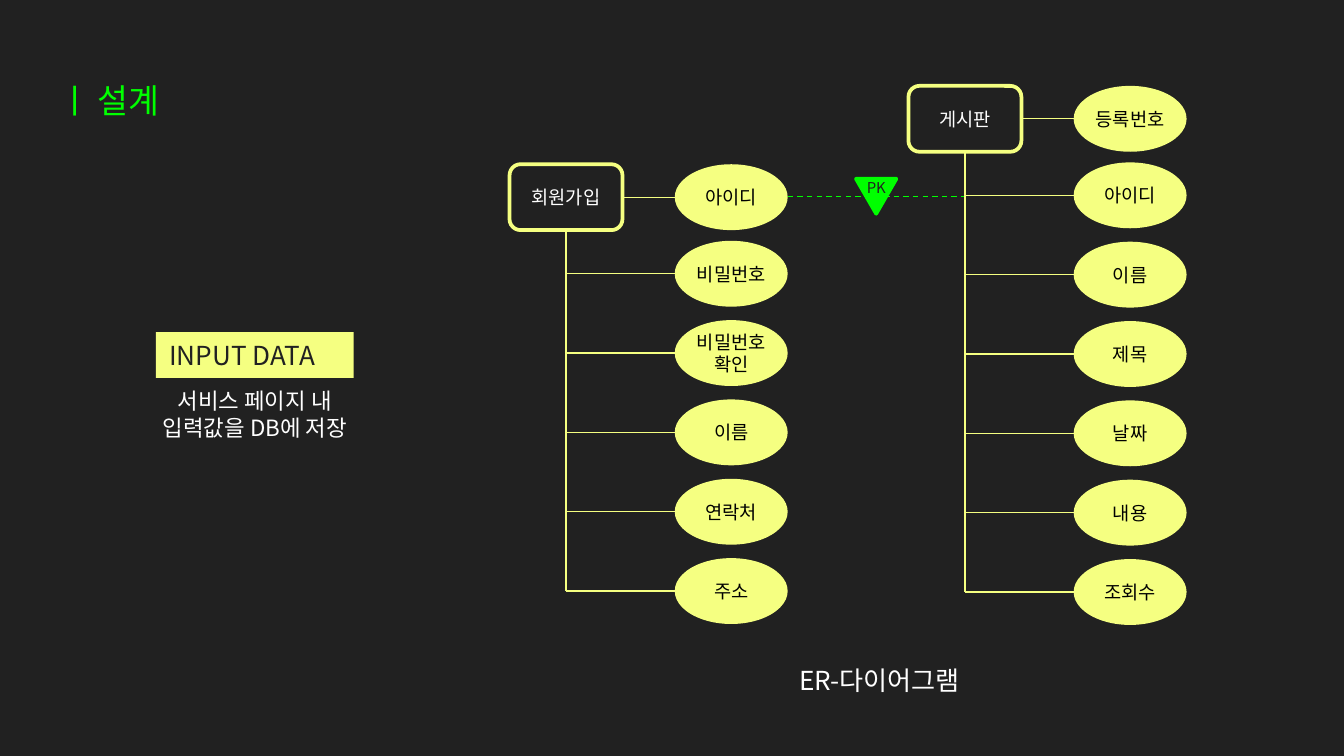
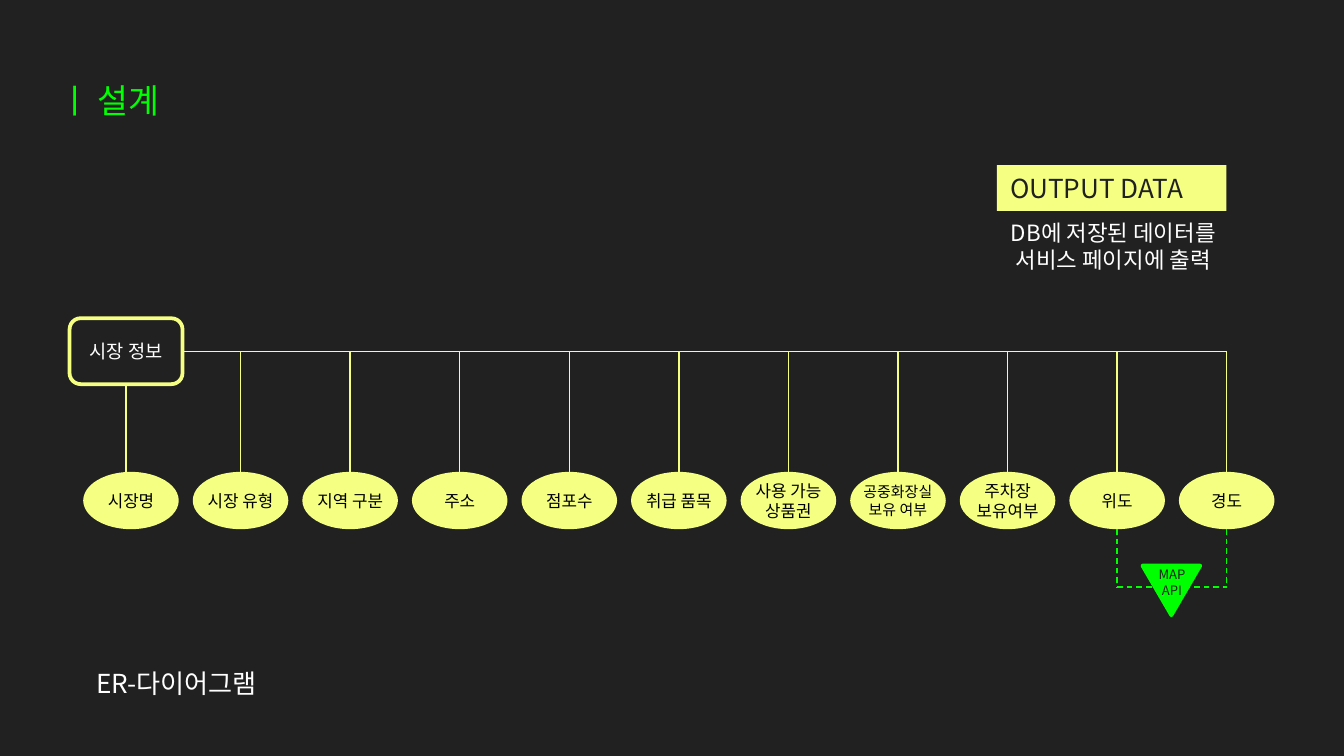
from lxml.etree import SubElement
from pptx import Presentation
from pptx.dml.color import RGBColor
from pptx.enum.dml import MSO_LINE
from pptx.enum.shapes import MSO_CONNECTOR, MSO_SHAPE as Kind
from pptx.enum.text import MSO_ANCHOR as Anchor, PP_ALIGN as Align
from pptx.oxml.ns import qn
from pptx.util import Pt

DARK = RGBColor(0x21, 0x21, 0x21)
LEMON = RGBColor(0xF5, 0xFF, 0x81)
GREEN = RGBColor(0x00, 0xFF, 0x00)
WHITE = RGBColor(0xFF, 0xFF, 0xFF)
BLACK = RGBColor(0x00, 0x00, 0x00)
FONT = "Noto Sans CJK KR"


def label(shape, text, size, color, align=Align.CENTER, anchor=Anchor.MIDDLE,
          pad=(0, 0), wrap=True):
    """Fill a shape with one paragraph per line; pad is (side, top)."""
    frame = shape.text_frame
    frame.word_wrap = wrap
    frame.vertical_anchor = anchor
    frame.margin_left = frame.margin_right = Pt(pad[0])
    frame.margin_top = frame.margin_bottom = Pt(pad[1])
    for i, line in enumerate(text.split("\n")):
        para = frame.add_paragraph() if i else frame.paragraphs[0]
        para.alignment = align
        run = para.add_run()
        run.text = line
        run.font.name = FONT
        run.font.size = Pt(size)
        run.font.color.rgb = color
        SubElement(run.font._element, qn("a:ea"), typeface=FONT)


def draw(slide, kind, box, fill=None, edge=None):
    """Add a preset shape, or a line from (x1, y1) to (x2, y2) if kind is None."""
    box = [Pt(v) for v in box]
    if kind is None:
        shape = slide.shapes.add_connector(MSO_CONNECTOR.STRAIGHT, *box)
        shape.line.color.rgb = edge
        shape.line.width = Pt(0.75)
        if edge == GREEN:
            shape.line.dash_style = MSO_LINE.DASH
        SubElement(shape._element.spPr, qn("a:effectLst"))
        return shape
    shape = slide.shapes.add_shape(kind, *box)
    shape.shadow.inherit = False
    if fill is None:
        shape.fill.background()
    else:
        shape.fill.solid()
        shape.fill.fore_color.rgb = fill
    if edge is None:
        shape.line.fill.background()
    else:
        shape.line.color.rgb = edge
        shape.line.width = Pt(2)
    return shape


prs = Presentation()
prs.slide_width, prs.slide_height = Pt(720), Pt(405)
back = prs.slide_master.background.fill
back.solid()
back.fore_color.rgb = DARK

# Parts both slides share: title, tag, note, caption and key triangle
# Each slide: tag text and box, note text and box, caption place
pages = [
    ("INPUT DATA", (83.5, 178, 106, 24.5),
     "서비스 페이지 내\n입력값을 DB에 저장", (77, 204, 119, 36), (421, 348.5)),
    ("OUTPUT DATA", (534, 88.5, 123, 24.5),
     "DB에 저장된 데이터를\n서비스 페이지에 출력", (530, 114, 133, 36), (44.5, 350.5)),
]
slides = []
for tag, spot, note, area, (x, y) in pages:
    slide = prs.slides.add_slide(prs.slide_layouts[5])
    slides.append(slide)
    title = slide.shapes.title
    title.left, title.top, title.width, title.height = Pt(24.5), Pt(35.5), Pt(671), Pt(45)
    label(title, "ㅣ 설계", 18, GREEN, Align.LEFT, Anchor.TOP, (7.2, 7.2))
    label(draw(slide, Kind.RECTANGLE, spot, LEMON), tag, 14, DARK, Align.LEFT, pad=(7.2, 0))
    text = slide.shapes.add_textbox(*[Pt(v) for v in area])
    label(text, note, 12, WHITE, anchor=Anchor.TOP, pad=(7.2, 3.6))
    text = slide.shapes.add_textbox(Pt(x), Pt(y), Pt(107), Pt(31.5))
    label(text, "ER-다이어그램", 14, WHITE, Align.LEFT, Anchor.TOP, (7.2, 7.2))
first, second = slides

# Slide 1: two tables, each a box with a column of fields
WIDE, HIGH = 60.5, 35.3
tables = [
    ("회원가입", 273, 88, ["아이디", "비밀번호", "비밀번호\n확인", "이름", "연락처", "주소"]),
    ("게시판", 486.7, 46, ["등록번호", "아이디", "이름", "제목", "날짜", "내용", "조회수"]),
]
for name, left, top, fields in tables:
    head = draw(first, Kind.ROUNDED_RECTANGLE, (left, top, WIDE, HIGH), edge=LEMON)
    label(head, name, 10, WHITE)
    trunk, col = left + WIDE / 2, left + 88.5
    for i, field in enumerate(fields):
        y = top + 41 + 42.5 * (i - 1) if i else top
        mid = y + HIGH / 2
        draw(first, None, (trunk if i else left + WIDE, mid, col, mid), edge=LEMON)
        oval = draw(first, Kind.OVAL, (col, y, WIDE, HIGH), LEMON)
        label(oval, field, 10, BLACK, wrap=False)
    draw(first, None, (trunk, top + HIGH, trunk, mid), edge=LEMON)
draw(first, None, (422, 105.3, 516.5, 105.3), edge=GREEN)

# Slide 2: one table with a row of fields
left, top = 37.3, 170.5
head = draw(second, Kind.ROUNDED_RECTANGLE, (left, top, WIDE, HIGH), edge=LEMON)
label(head, "시장 정보", 10, WHITE)
fields = ["시장명", "시장 유형", "지역 구분", "주소", "점포수", "취급 품목",
          "사용 가능\n상품권", "공중화장실\n보유 여부", "주차장\n보유여부", "위도", "경도"]
rail, row, base = 188.2, 252.8, 314.5
wide, high = 51.2, 30.7
for i, field in enumerate(fields):
    x = 44.6 + 58.7 * i
    mid = x + wide / 2
    stem = (mid, rail) if i else (left + WIDE / 2, top + HIGH)
    draw(second, None, (*stem, stem[0], row), edge=LEMON)
    oval = draw(second, Kind.OVAL, (x, row, wide, high), LEMON)
    label(oval, field, 8 if "공중" in field else 9, BLACK, wrap=False)
    if field in ("위도", "경도"):
        draw(second, None, (mid, row + high, mid, base), edge=GREEN)
draw(second, None, (left + WIDE, rail, mid, rail), edge=LEMON)
draw(second, None, (mid - 58.7, base, mid, base), edge=GREEN)

# Key triangles, point down, with upright text on top
keys = [
    (first, (458.6, 95.8, 21.6, 18.7), "PK", 8, (456.5, 92.2, 26, 17)),
    (second, (612, 303, 31, 26.6), "MAP\nAPI", 7, (612, 300.2, 31.7, 24.5)),
]
for slide, box, text, size, area in keys:
    draw(slide, Kind.ISOSCELES_TRIANGLE, box, GREEN, GREEN).rotation = 180
    note = slide.shapes.add_textbox(*[Pt(v) for v in area])
    label(note, text, size, DARK, anchor=Anchor.TOP, pad=(0, 3.6))

prs.save("out.pptx")
